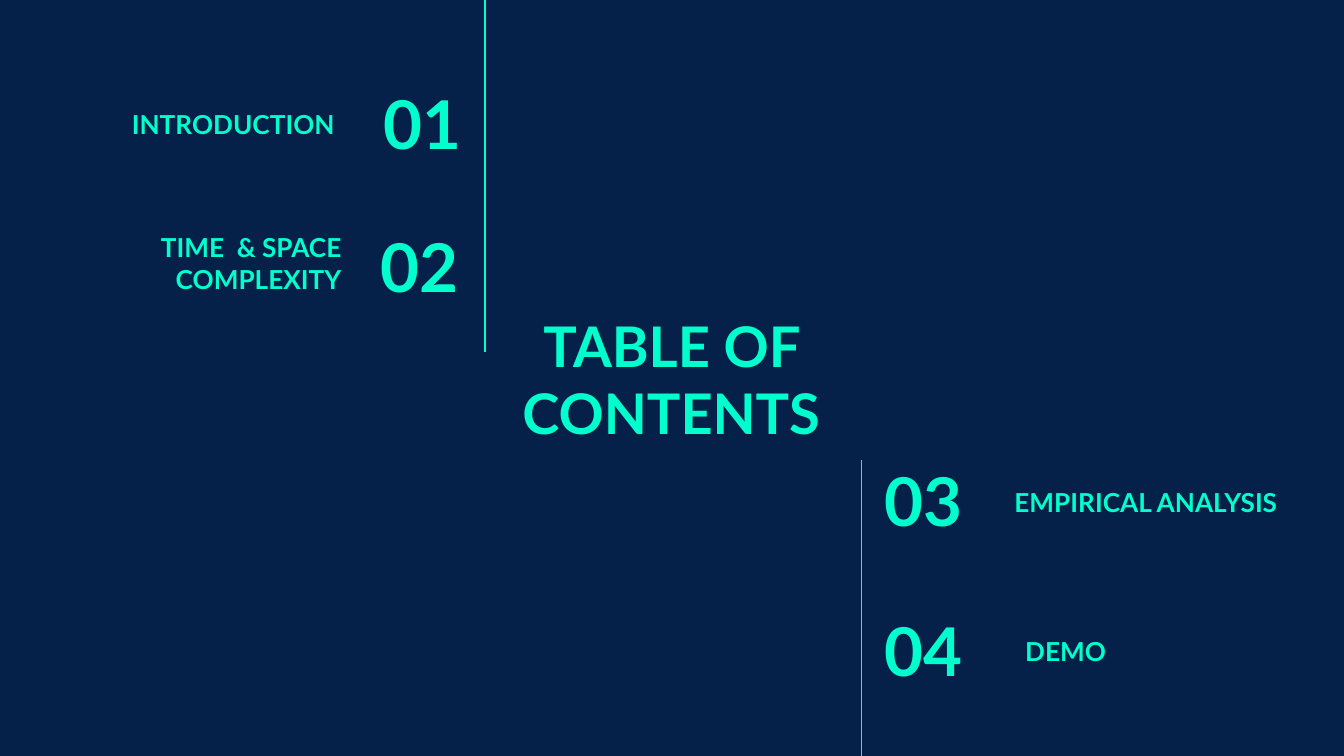
from dataclasses import dataclass

from lxml import etree
from pptx import Presentation
from pptx.dml.color import RGBColor
from pptx.enum.shapes import MSO_CONNECTOR
from pptx.enum.text import MSO_ANCHOR, PP_ALIGN
from pptx.oxml.ns import qn
from pptx.slide import Slide
from pptx.util import Emu, Pt

LEFT, CENTER, RIGHT = PP_ALIGN.LEFT, PP_ALIGN.CENTER, PP_ALIGN.RIGHT
MIDDLE, BOTTOM = MSO_ANCHOR.MIDDLE, MSO_ANCHOR.BOTTOM
STRAIGHT = MSO_CONNECTOR.STRAIGHT

PX = 4572  # EMU, 200 px to the inch
SLIDE_WIDTH, SLIDE_HEIGHT = 2000, 1125
INSET = 20


@dataclass(frozen=True)
class Theme:
    background: RGBColor = RGBColor(0x05, 0x21, 0x4A)
    accent: RGBColor = RGBColor(0x00, 0xFF, 0xCD)
    font: str = "Lato"
    title_size: int = 30
    number_size: int = 36
    label_size: int = 14
    rule_width: float = 0.75


@dataclass(frozen=True)
class Area:
    left: int
    top: int
    width: int
    height: int


@dataclass(frozen=True)
class Entry:
    number: str
    label: str
    number_area: Area
    label_area: Area
    align: PP_ALIGN


@dataclass(frozen=True)
class Rule:
    x: int
    top: int
    bottom: int


THEME = Theme()
TITLE_AREA = Area(740, 460, 518, 206)
ENTRIES = (
    Entry("01", "INTRODUCTION",
          Area(464, 120, 242, 126), Area(86, 138, 432, 90), RIGHT),
    Entry("02", "TIME  & SPACE COMPLEXITY",
          Area(460, 332, 242, 126), Area(96, 332, 432, 126), RIGHT),
    Entry("03", "EMPIRICAL ANALYSIS",
          Area(1296, 680, 234, 126), Area(1490, 700, 432, 90), LEFT),
    Entry("04", "DEMO",
          Area(1296, 904, 234, 126), Area(1506, 922, 432, 90), LEFT),
)
RULES = (Rule(722, 0, 524), Rule(1282, 684, SLIDE_HEIGHT))


def px(length: int) -> Emu:
    return Emu(length * PX)


def add_text(page: Slide, text: str, area: Area, size: int,
             align: PP_ALIGN, anchor: MSO_ANCHOR) -> None:
    box = page.shapes.add_textbox(
        px(area.left), px(area.top), px(area.width), px(area.height))
    frame = box.text_frame
    frame.word_wrap = True
    frame.vertical_anchor = anchor
    frame.margin_left = frame.margin_right = px(INSET)
    frame.margin_top = frame.margin_bottom = px(INSET)
    para = frame.paragraphs[0]
    para.alignment = align
    span = para.add_run()
    span.text = text
    span.font.name = THEME.font
    span.font.size = Pt(size)
    span.font.bold = True
    span.font.color.rgb = THEME.accent


def add_entry(page: Slide, entry: Entry) -> None:
    add_text(page, entry.label, entry.label_area, THEME.label_size,
             entry.align, BOTTOM)
    add_text(page, entry.number, entry.number_area, THEME.number_size,
             entry.align, MIDDLE)


def add_rule(page: Slide, rule: Rule) -> None:
    """Draw a thin vertical line without a shadow."""
    line = page.shapes.add_connector(
        STRAIGHT, px(rule.x), px(rule.top), px(rule.x), px(rule.bottom))
    line.line.color.rgb = THEME.accent
    line.line.width = Pt(THEME.rule_width)
    etree.SubElement(line._element.spPr, qn("a:effectLst"))


def main() -> None:
    deck = Presentation()
    deck.slide_width, deck.slide_height = px(SLIDE_WIDTH), px(SLIDE_HEIGHT)
    page = deck.slides.add_slide(deck.slide_layouts[6])
    page.background.fill.solid()
    page.background.fill.fore_color.rgb = THEME.background

    add_text(page, "TABLE OF CONTENTS", TITLE_AREA, THEME.title_size,
             CENTER, MIDDLE)
    for entry in ENTRIES:
        add_entry(page, entry)
    for rule in RULES:
        add_rule(page, rule)
    deck.save("out.pptx")


if __name__ == "__main__":
    main()
